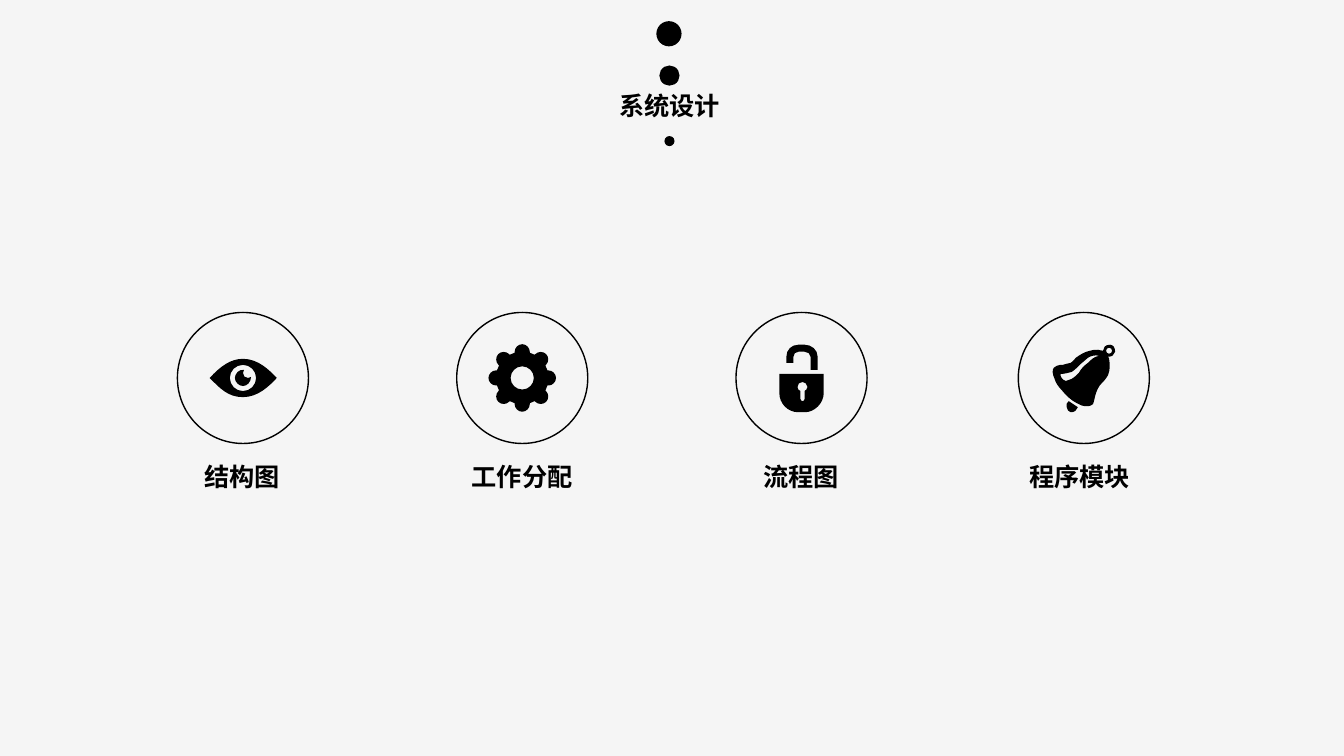
"""Build the system design slide with four captioned icons."""
from dataclasses import dataclass
from math import cos, pi, sin

from pptx import Presentation
from pptx.dml.color import RGBColor
from pptx.enum.shapes import MSO_SHAPE
from pptx.enum.text import MSO_ANCHOR, MSO_AUTO_SIZE, PP_ALIGN
from pptx.oxml.ns import qn
from pptx.shapes.autoshape import Shape
from pptx.shapes.shapetree import GroupShapes, SlideShapes
from pptx.util import Pt

OVAL = MSO_SHAPE.OVAL
TOP = MSO_ANCHOR.TOP
GROW = MSO_AUTO_SIZE.SHAPE_TO_FIT_TEXT
LEFT = PP_ALIGN.LEFT

EMU_PER_PX = 9144
SLIDE_WIDTH, SLIDE_HEIGHT = 1333, 750
COLORS = {"background": "F5F5F5", "ink": "000000"}
FONT = "Calibri"
RING_TOP, RING_SIZE = 310, 130
RING_CENTER = RING_SIZE // 2
CAPTION_TOP, CAPTION_HEIGHT = 453, 40
POINTS_PER_COMMAND = {"M": 1, "L": 1, "C": 3}

Point = tuple[float, float]


@dataclass(frozen=True)
class Segment:
    command: str
    points: list[Point]


Contour = list[Segment]


@dataclass(frozen=True)
class Dot:
    left: int
    top: int
    size: int


@dataclass(frozen=True)
class Icon:
    left: int
    contours: list[Contour]
    caption: str
    caption_left: int
    caption_width: int


def px(length: float) -> int:
    """Turn pixels into EMU."""
    return round(length * EMU_PER_PX)


def rgb(name: str) -> RGBColor:
    """Return a named colour."""
    return RGBColor.from_string(COLORS[name])


def outline(path: str) -> Contour:
    """Turn a closed path of M, L and C commands into segments."""
    contour: Contour = []
    command = ""
    points: list[Point] = []
    tokens = iter(path.split())
    for token in tokens:
        if token.isalpha():
            command = token
            continue
        points.append((float(token), float(next(tokens))))
        if len(points) == POINTS_PER_COMMAND[command]:
            contour.append(Segment(command, points))
            points = []
    return contour


def circle(x: int, y: int, radius: float) -> Contour:
    """Return a circle of four curves."""
    r, k = radius, radius * 0.55
    offsets = [[(r, k), (k, r), (0, r)], [(-k, r), (-r, k), (-r, 0)],
               [(-r, -k), (-k, -r), (0, -r)], [(k, -r), (r, -k), (r, 0)]]
    curves = [Segment("C", [(x + dx, y + dy) for dx, dy in curve]) for curve in offsets]
    return [Segment("M", [(x + r, y)]), *curves]


def gear(lobe: Contour, lobe_count: int) -> Contour:
    """Repeat one lobe around the ring centre."""
    contour: Contour = []
    for index in range(lobe_count):
        angle = 2 * pi * index / lobe_count
        for segment in lobe:
            command = "L" if contour and segment.command == "M" else segment.command
            contour.append(Segment(command, [
                (RING_CENTER + x * cos(angle) - y * sin(angle),
                 RING_CENTER + x * sin(angle) + y * cos(angle)) for x, y in segment.points]))
    return contour


EYE = [
    outline("M 65 46 C 53 46 43 53 32 65 C 42 75 50 84 65 84 "
            "C 80 84 91 73 98.5 65 C 91 57 80 46 65 46"),
    circle(RING_CENTER, RING_CENTER, 13),
    outline("M 65 60 C 65 59 65 58 66 57 C 61 56 57 61 57 65 C 57 69 61 73 65 73 "
            "C 69 73 73 69 73 64 C 72 65 71 65 70 65 C 67 65 65 63 65 60"),
]
GEAR_LOBE = outline("M 25 -7.5 L 26 -7.5 C 30 -7.5 33.5 -4 33.5 0 "
                    "C 33.5 4 30 7.5 26 7.5 L 25 7.5")
GEAR = [gear(GEAR_LOBE, 8), circle(RING_CENTER, RING_CENTER, 11.5)]
LOCK = [
    outline("M 57 44 C 57 41 59 39 62 39 L 68 39 C 71 39 74 41 74 44 L 74 57 81 57 81 44 "
            "C 81 37 75 32 68 32 L 62 32 C 55 32 50 37 50 44 L 50 50 57 50"),
    outline("M 43 61 L 43 80 C 43 90 51 99 62 99 L 68 99 C 78 99 87 90 87 80 L 87 61"),
    outline("M 68 78 L 68 86 C 68 87 67 88 66 88 C 65 88 64 87 64 86 L 64 78 "
            "C 62 77 61 76 61 74 C 61 71 63 69 66 69 C 68 69 71 71 71 74 C 71 76 69 77 68 78"),
]
BELL = [
    outline("M 91 32 C 86 32 84 35 84 38 C 82 38 80 37 79 37 C 76 37 74 37 71 38 "
            "C 66 39 61 42 57 45 C 55 47 54 49 52 50 C 49 51 46 51 44 52 "
            "C 42 52 40 52 38 53 C 36 54 34 55 34 59 C 34 61 35 64 36 66 "
            "C 37 70 40 74 43 77 C 47 82 52 87 58 90 C 61 92 64 93 68 93 "
            "C 70 93 72 93 74 91 C 74 90 75 89 75 88 C 76 85 76 82 77 80 "
            "C 78 77 79 75 81 72 C 84 69 87 66 89 62 C 91 57 91 52 90 46 "
            "C 90 46 90 45 89 44 C 93 44 95 42 96 39 C 96 35 94 32 91 32"),
    outline("M 80 43 C 75 44 72 47 69 50 C 65 53 62 56 60 60 C 57 63 54 66 50 67 "
            "C 49 67 48 67 47 68 C 46 68 46 68 45 67 C 44 66 42 65 42 63 L 42 61 "
            "C 46 61 49 60 53 59 C 56 57 59 54 62 51 C 64 49 67 47 69 45 C 72 43 76 42 80 43"),
    circle(90, 38, 3),
    outline("M 59 94 C 56 92 53 90 50 88 C 48 89 47 92 48 94 C 48 97 50 98 52 99 "
            "C 56 99 58 97 59 94"),
]

DOTS = [Dot(651, 21, 25), Dot(654, 65, 20), Dot(659, 135, 10)]
ICONS = [
    Icon(176, EYE, "结构图", 193, 95),
    Icon(453, GEAR, "工作分配", 458, 120),
    Icon(730, LOCK, "流程图", 747, 95),
    Icon(1010, BELL, "程序模块", 1011, 120),
]


def fill_ink(shape: Shape) -> None:
    """Fill a shape with ink, without line or shadow."""
    shape.shadow.inherit = False
    shape.fill.solid()
    shape.fill.fore_color.rgb = rgb("ink")
    shape.line.fill.background()


def add_oval(shapes: SlideShapes | GroupShapes, left: int, top: int, size: int) -> Shape:
    """Add a round shape."""
    return shapes.add_shape(OVAL, px(left), px(top), px(size), px(size))


def add_outline(shapes: GroupShapes, left: int, contours: list[Contour]) -> None:
    """Add a filled freeform, merging each curve's three points into one cubic."""
    builder = shapes.build_freeform()
    segments: Contour = []
    for index, contour in enumerate(contours):
        start, *rest = [(px(left + x), px(RING_TOP + y))
                        for segment in contour for x, y in segment.points]
        if index == 0:
            builder = shapes.build_freeform(*start)
        else:
            builder.move_to(*start)
        builder.add_line_segments(rest)
        segments += contour[1:]
    shape = builder.convert_to_shape()
    lines = iter(list(shape.element.iter(qn("a:lnTo"))))
    for segment in segments:
        first, *others = [next(lines) for _ in segment.points]
        if others:
            first.tag = qn("a:cubicBezTo")
        for line in others:
            first.append(line[0])
            line.getparent().remove(line)
    fill_ink(shape)


def write_label(shape: Shape, text: str) -> None:
    """Write one bold line that does not wrap."""
    frame = shape.text_frame
    frame.text = text
    frame.word_wrap = False
    frame.auto_size = GROW
    frame.vertical_anchor = TOP
    paragraph = frame.paragraphs[0]
    paragraph.alignment = LEFT
    paragraph.font.name = FONT
    paragraph.font.size = Pt(18)
    paragraph.font.bold = True
    paragraph.font.color.rgb = rgb("ink")


def add_icon(shapes: SlideShapes, icon: Icon) -> None:
    """Add a ringed icon and its caption."""
    group = shapes.add_group_shape().shapes
    ring = add_oval(group, icon.left, RING_TOP, RING_SIZE)
    ring.shadow.inherit = False
    ring.fill.background()
    ring.line.color.rgb = rgb("ink")
    ring.line.width = Pt(1)
    add_outline(group, icon.left, icon.contours)
    caption = shapes.add_textbox(px(icon.caption_left), px(CAPTION_TOP),
                                 px(icon.caption_width), px(CAPTION_HEIGHT))
    write_label(caption, icon.caption)


def main() -> None:
    """Build and save the slide."""
    presentation = Presentation()
    presentation.slide_width, presentation.slide_height = px(SLIDE_WIDTH), px(SLIDE_HEIGHT)
    slide = presentation.slides.add_slide(presentation.slide_layouts.get_by_name("Title Only"))
    slide.background.fill.solid()
    slide.background.fill.fore_color.rgb = rgb("background")
    title = slide.shapes.title
    title.left, title.top, title.width, title.height = px(604), px(85), px(120), px(40)
    write_label(title, "系统设计")
    title.text_frame.margin_right = 0
    for dot in DOTS:
        fill_ink(add_oval(slide.shapes, dot.left, dot.top, dot.size))
    for icon in ICONS:
        add_icon(slide.shapes, icon)
    presentation.save("out.pptx")


if __name__ == "__main__":
    main()
